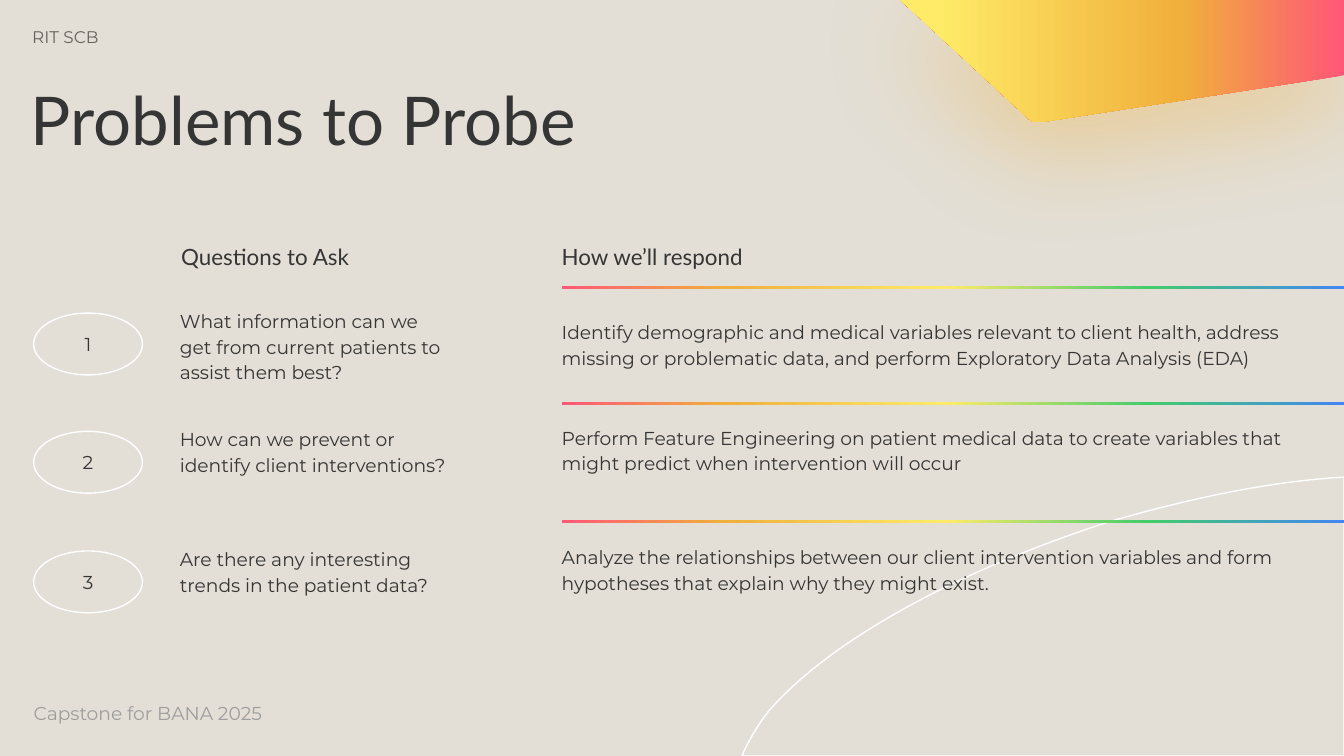
from lxml.etree import SubElement
from pptx import Presentation
from pptx.dml.color import RGBColor
from pptx.enum.shapes import MSO_SHAPE
from pptx.enum.text import MSO_ANCHOR, MSO_AUTO_SIZE, PP_ALIGN
from pptx.oxml.ns import qn
from pptx.util import Inches, Pt

COLORS = {
    "background": "E3DFD6", "white": "FFFFFF", "ink": "353535",
    "header": "69615E", "footer": "9E9E9E",
    "pink": "FF5777", "orange": "F0B03B", "yellow": "FFEB67",
    "green": "41CC6B", "blue": "4285F4",
}
RAINBOW = [(0, "pink"), (21, "orange"), (49, "yellow"), (75, "green"), (100, "blue")]
SUNRISE = [(0, "pink"), (37, "orange"), (92, "yellow"), (100, "yellow")]

SLIDE_W, SLIDE_H = 10, 10 * 9 / 16
ANSWER_LEFT = 4.18
RULE_TOPS = (2.13, 2.99, 3.87)
# Row top, question, answer, bottom inset of the answer
ROWS = [
    (2.18, "What information can we get from current patients to assist them best?",
     "Identify demographic and medical variables relevant to client health, address "
     "missing or problematic data, and perform Exploratory Data Analysis (EDA)", 0.1),
    (3.06, "How can we prevent or identify client interventions?",
     "Perform Feature Engineering on patient medical data to create variables that "
     "might predict when intervention will occur", 0.29),
    (3.95, "Are there any interesting trends in the patient data?",
     "Analyze the relationships between our client intervention variables and form "
     "hypotheses that explain why they might exist.", 0.29),
]
# Cubic curves of the arc: four control points and a step count
ARC_CURVES = [
    ([(10, 3.55), (9.47, 3.58), (8.88, 3.7), (8.26, 3.88)], 16),
    ([(8.26, 3.88), (7.11, 4.25), (6.17, 4.77), (5.72, 5.29)], 26),
    ([(5.72, 5.29), (5.64, 5.39), (5.57, 5.51), (5.52, SLIDE_H)], 8),
]


def rgb(name):
    return RGBColor.from_string(COLORS[name])


def box(left, top, width, height):
    return [Inches(value) for value in (left, top, width, height)]


def write(shape, text, size=10, font="Montserrat", color="ink", anchor=MSO_ANCHOR.TOP,
          insets=(0.1, 0.1, 0.1, 0.1), spacing=1.15, after=0, align=PP_ALIGN.LEFT):
    frame = shape.text_frame
    frame.word_wrap = True
    frame.auto_size = MSO_AUTO_SIZE.NONE
    frame.vertical_anchor = anchor
    (frame.margin_left, frame.margin_top,
     frame.margin_right, frame.margin_bottom) = box(*insets)
    paragraph = frame.paragraphs[0]
    paragraph.alignment = align
    paragraph.line_spacing = spacing
    paragraph.space_before = Pt(0)
    paragraph.space_after = Pt(after)
    run = paragraph.add_run()
    run.text = text
    run.font.size = Pt(size)
    run.font.name = font
    run.font.color.rgb = rgb(color)


def add_text(slide, place, text, **style):
    write(slide.shapes.add_textbox(*box(*place)), text, **style)


def fill_gradient(shape, stops, angle):
    shape.fill.gradient()
    shape.fill.gradient_angle = angle
    stop_list = shape._element.spPr.find(qn("a:gradFill")).find(qn("a:gsLst"))
    for old_stop in list(stop_list):
        stop_list.remove(old_stop)
    for percent, color in stops:
        stop = SubElement(stop_list, qn("a:gs"), pos=str(percent * 1000))
        SubElement(stop, qn("a:srgbClr"), val=COLORS[color])


def add_glow(shape, color, alpha, blur, distance, angle):
    effects = shape._element.spPr.find(qn("a:effectLst"))
    shadow = SubElement(effects, qn("a:outerShdw"), blurRad=str(Pt(blur)),
                        dist=str(Pt(distance)), dir=str(angle * 60000),
                        algn="bl", rotWithShape="0")
    tint = SubElement(shadow, qn("a:srgbClr"), val=COLORS[color])
    SubElement(tint, qn("a:alpha"), val=str(alpha * 1000))


def outline_white(shape):
    shape.shadow.inherit = False
    shape.fill.background()
    shape.line.color.rgb = rgb("white")
    shape.line.width = Pt(0.75)


def add_polygon(slide, points):
    # The builder rounds to whole units, so points go in as EMU
    vertices = [(Inches(x), Inches(y)) for x, y in points]
    builder = slide.shapes.build_freeform(*vertices[0])
    builder.add_line_segments(vertices[1:], close=True)
    polygon = builder.convert_to_shape()
    polygon.shadow.inherit = False
    return polygon


def curve_points(controls, steps):
    for step in range(steps + 1):
        t = step / steps
        weights = ((1 - t) ** 3, 3 * t * (1 - t) ** 2, 3 * t ** 2 * (1 - t), t ** 3)
        yield tuple(sum(w * c for w, c in zip(weights, axis)) for axis in zip(*controls))


def add_decoration(slide):
    arc_points = [point for curve in ARC_CURVES for point in curve_points(*curve)]
    outline_white(add_polygon(slide, arc_points + [(SLIDE_W, SLIDE_H)]))

    corner = add_polygon(slide, [(6.7, 0), (7.66, 0.89), (7.69, 0.91), (7.74, 0.91),
                                 (SLIDE_W, 0.56), (SLIDE_W, 0)])
    fill_gradient(corner, SUNRISE, 180)
    corner.line.fill.background()
    add_glow(corner, "orange", 40, 55.1, 17.2, 95)


def add_rule(slide, top):
    rule = slide.shapes.add_shape(
        MSO_SHAPE.RECTANGLE, *box(ANSWER_LEFT, top, SLIDE_W - ANSWER_LEFT, 0.02))
    rule.shadow.inherit = False
    rule.line.fill.background()
    fill_gradient(rule, RAINBOW, 0)


def add_row(slide, number, top, question, answer, bottom_inset):
    badge = slide.shapes.add_shape(MSO_SHAPE.OVAL, *box(0.25, top + 0.15, 0.81, 0.46))
    outline_white(badge)
    write(badge, str(number), anchor=MSO_ANCHOR.MIDDLE, spacing=1, align=PP_ALIGN.CENTER)
    add_text(slide, (1.24, top, 2.21, 0.75), question, after=8)
    add_text(slide, (ANSWER_LEFT, top, 5.57, 0.75), answer,
             anchor=MSO_ANCHOR.MIDDLE, insets=(0, 0.1, 0.1, bottom_inset))


def main():
    deck = Presentation()
    deck.slide_width, deck.slide_height = Inches(SLIDE_W), Inches(SLIDE_H)
    slide = deck.slides.add_slide(deck.slide_layouts[5])
    slide.background.fill.solid()
    slide.background.fill.fore_color.rgb = rgb("background")
    add_decoration(slide)

    # Title, header and footer
    title = slide.shapes.title
    title.left, title.top, title.width, title.height = box(0.13, 0.55, 7.04, 0.75)
    write(title, "Problems to Probe", size=36, font="Lato", spacing=0.9)
    add_text(slide, (0.04, 0.1, 1.73, 0.21), "RIT SCB", size=9, color="header",
             insets=(0.2, 0.1, 0.1, 0.1), spacing=1)
    add_text(slide, (0.25, 5.22, 2.12, 0.21), "Capstone for BANA 2025", color="footer",
             insets=(0, 0, 0, 0), spacing=1)

    # Column headings
    for left, heading, inset in ((1.25, "Questions to Ask", 0.1),
                                 (ANSWER_LEFT, "How we’ll respond", 0)):
        add_text(slide, (left, 1.67, 2.4, 0.44), heading, size=12, font="Lato",
                 anchor=MSO_ANCHOR.BOTTOM, insets=(inset, 0.1, 0.1, 0.1))

    # Rules and question rows
    for top in RULE_TOPS:
        add_rule(slide, top)
    for number, row in enumerate(ROWS, start=1):
        add_row(slide, number, *row)

    deck.save("out.pptx")


if __name__ == "__main__":
    main()
